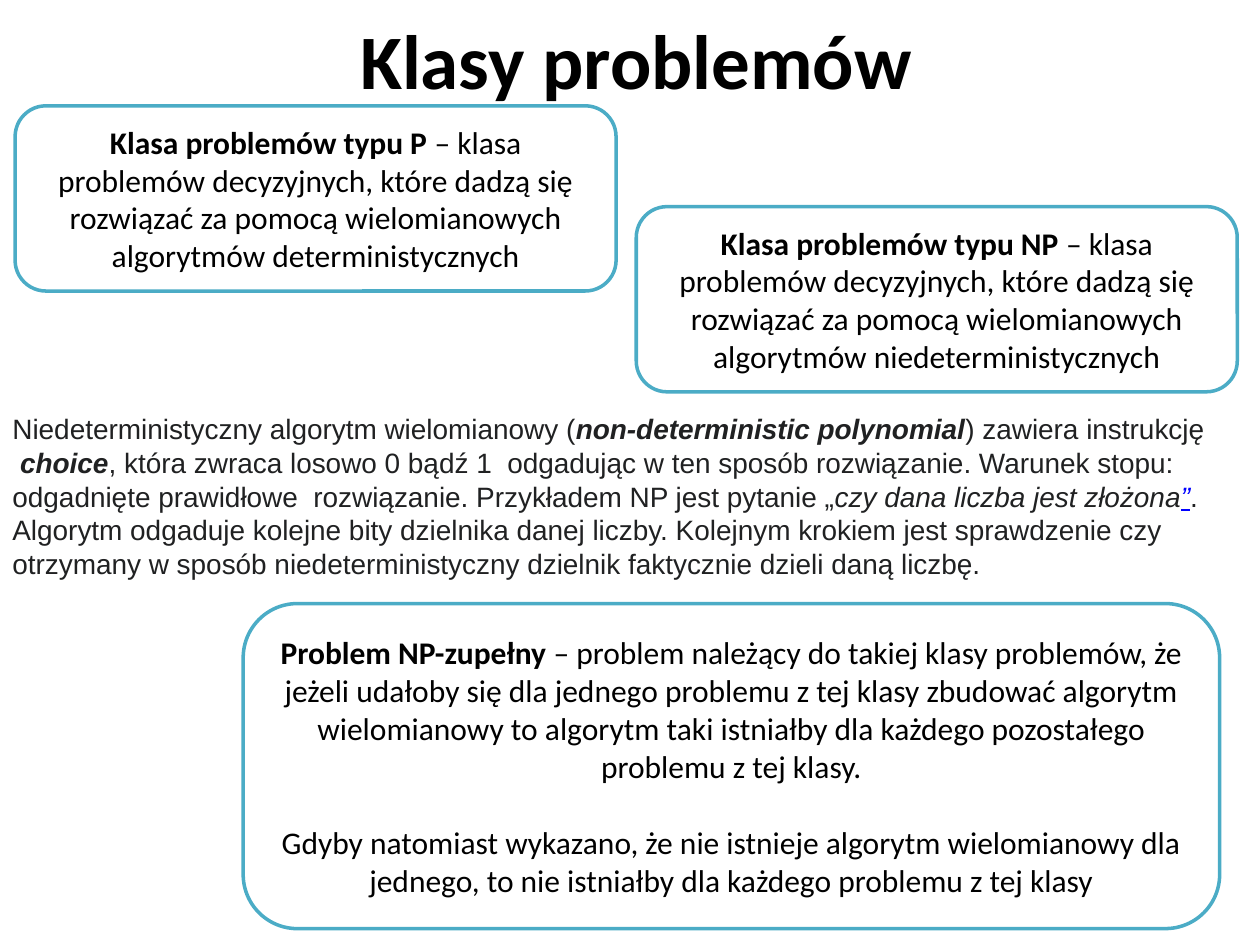
from pptx import Presentation
from pptx.dml.color import RGBColor
from pptx.enum.shapes import MSO_SHAPE as SHAPE
from pptx.enum.text import MSO_ANCHOR as ANCHOR, PP_ALIGN as ALIGN
from pptx.util import Inches, Pt

BLACK = RGBColor(0x00, 0x00, 0x00)
WHITE = RGBColor(0xFF, 0xFF, 0xFF)
TEAL = RGBColor(0x4B, 0xAC, 0xC6)
INK = RGBColor(0x20, 0x21, 0x22)
LINK = RGBColor(0x00, 0x00, 0xFF)

WIDTH, HEIGHT = Inches(10), Inches(7.5)
COLS, ROWS = 100, 75
CARD_W, CARD_H = 47.7, 14.7


def grid(col, row, cols, rows):
    """Turn a box in grid units into left, top, width and height."""
    return (round(col * WIDTH / COLS), round(row * HEIGHT / ROWS),
            round(cols * WIDTH / COLS), round(rows * HEIGHT / ROWS))


def add_run(p, text, size=18, font="Calibri", color=BLACK,
            bold=False, italic=False, underline=False):
    r = p.add_run()
    r.text = text
    f = r.font
    f.size, f.name, f.color.rgb = Pt(size), font, color
    f.bold, f.italic, f.underline = bold, italic, underline


def fill_frame(tf, paragraphs, align=ALIGN.CENTER, anchor=ANCHOR.MIDDLE, gap=0, **style):
    """Write paragraphs, each a list of (text, own format) runs."""
    tf.word_wrap = True
    tf.vertical_anchor = anchor
    for i, runs in enumerate(paragraphs):
        p = tf.add_paragraph() if i else tf.paragraphs[0]
        p.alignment = align
        if i:
            p.space_before = Pt(gap)
        for text, own in runs:
            add_run(p, text, **{**style, **own})


def add_title(s, box, text):
    sp = s.shapes.add_textbox(*grid(*box))
    fill_frame(sp.text_frame, [[(text, {"bold": True})]], size=44)


def add_card(s, box, term, *paragraphs, gap=0):
    """Rounded definition card; the bold term opens the first paragraph."""
    sp = s.shapes.add_shape(SHAPE.ROUNDED_RECTANGLE, *grid(*box))
    sp.shadow.inherit = False
    sp.fill.solid()
    sp.fill.fore_color.rgb = WHITE
    sp.line.color.rgb = TEAL
    sp.line.width = Pt(2)
    body = [[(text, {})] for text in paragraphs]
    body[0].insert(0, (term, {"bold": True}))
    fill_frame(sp.text_frame, body, gap=gap)


def add_explanation(s, box):
    strong = {"bold": True, "italic": True}
    sp = s.shapes.add_textbox(*grid(*box))
    fill_frame(sp.text_frame, [
        [("Niedeterministyczny algorytm wielomianowy (", {}),
         ("non-deterministic polynomial", strong),
         (") zawiera instrukcję", {})],
        [(" ", {}),
         ("choice", strong),
         (", która zwraca losowo 0 bądź 1  odgadując w ten sposób rozwiązanie. "
          "Warunek stopu: odgadnięte prawidłowe  rozwiązanie. "
          "Przykładem NP jest pytanie „", {}),
         ("czy dana liczba jest złożona", {"italic": True}),
         ("”", {"italic": True, "underline": True, "color": LINK}),
         (". Algorytm odgaduje kolejne bity dzielnika danej liczby. "
          "Kolejnym krokiem jest sprawdzenie czy otrzymany w sposób "
          "niedeterministyczny dzielnik faktycznie dzieli daną liczbę.", {})],
    ], align=ALIGN.LEFT, anchor=ANCHOR.TOP, size=16, font="Arial", color=INK)


def main():
    prs = Presentation()
    prs.slide_width, prs.slide_height = WIDTH, HEIGHT
    s = prs.slides.add_slide(prs.slide_layouts[6])

    add_title(s, (5.5, 0, 90, 9.4), "Klasy problemów")
    add_card(s, (1.2, 8.4, CARD_W, CARD_H), "Klasa problemów typu P ",
             "– klasa problemów decyzyjnych, które dadzą się rozwiązać za pomocą "
             "wielomianowych algorytmów deterministycznych")
    add_card(s, (50.5, 16.4, CARD_W, CARD_H), "Klasa problemów typu NP ",
             "– klasa problemów decyzyjnych, które dadzą się",
             "rozwiązać za pomocą wielomianowych algorytmów niedeterministycznych")
    add_card(s, (19.3, 47.9, 77.5, 25.8), "Problem NP-zupełny ",
             "– problem należący do takiej klasy problemów, że jeżeli udałoby się dla "
             "jednego problemu z tej klasy zbudować algorytm wielomianowy to algorytm "
             "taki istniałby dla każdego pozostałego problemu z tej klasy.",
             "Gdyby natomiast wykazano, że nie istnieje algorytm wielomianowy dla "
             "jednego, to nie istniałby dla każdego problemu z tej klasy", gap=22)
    add_explanation(s, (0, 32.2, 103.5, 14.5))

    prs.save("out.pptx")


if __name__ == "__main__":
    main()
